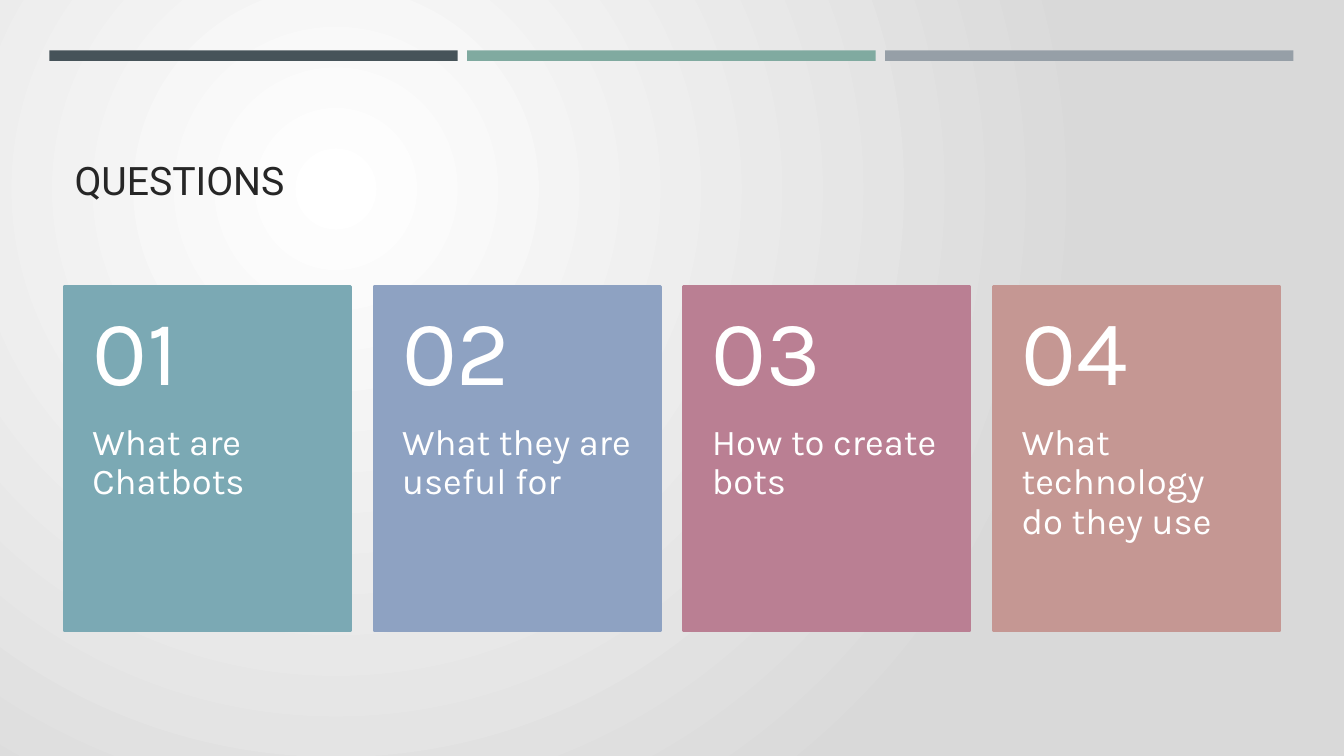
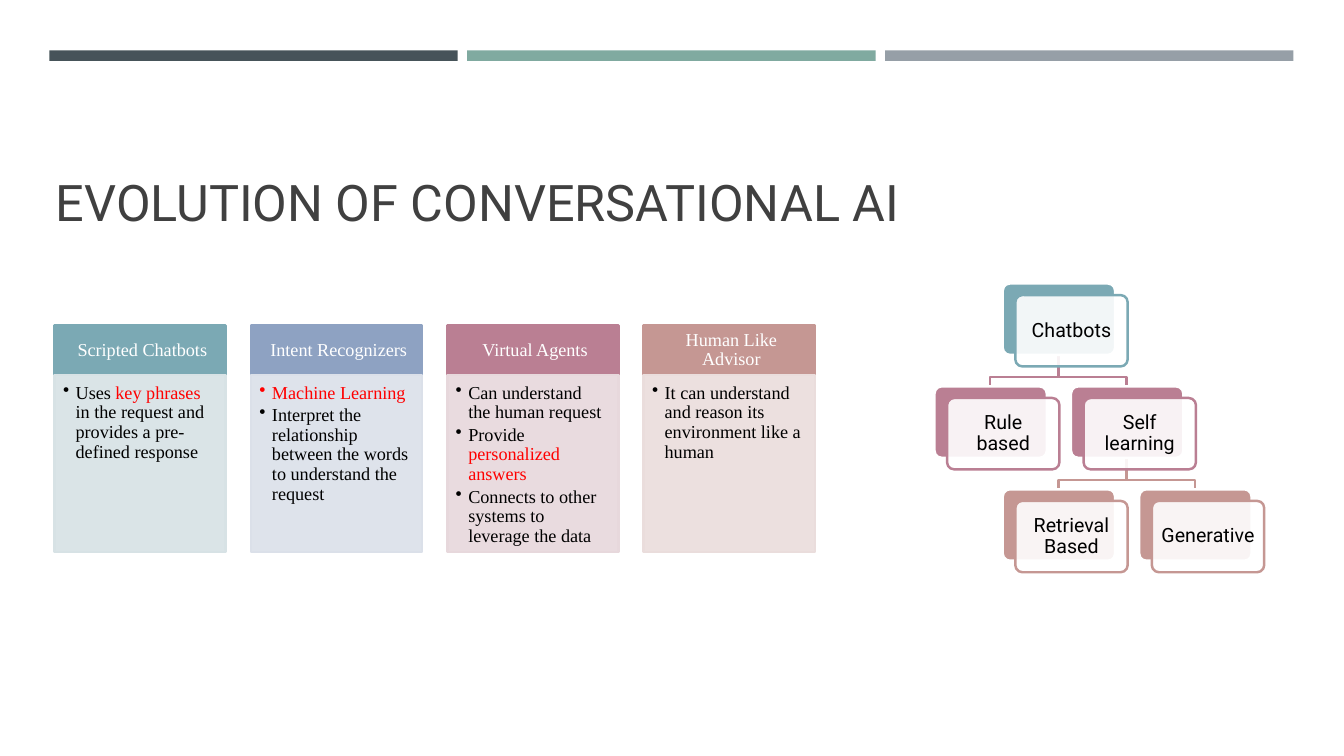
from pptx import Presentation
from pptx.dml.color import RGBColor
from pptx.enum.shapes import MSO_SHAPE as Preset
from pptx.enum.text import MSO_ANCHOR as Anchor, PP_ALIGN as Align
from pptx.oxml import parse_xml
from pptx.oxml.ns import nsdecls, qn
from pptx.util import Emu, Pt

PX = 9525  # 96 px to the inch
SLIDE_WIDTH, SLIDE_HEIGHT = 1280, 720

COLORS = {
    "slate": "465359", "sage": "80AAA0", "steel": "969FA7",
    "teal": "7BA9B4", "blue": "8EA2C2", "rose": "BA7F93", "clay": "C59793",
    "teal_tint": "D7E2E5", "blue_tint": "DBE0E9",
    "rose_tint": "E7D8DC", "clay_tint": "EADDDC",
    "white": "FFFFFF", "grey": "D9D9D9", "black": "000000", "red": "FF0000",
    "title_dark": "262626", "title_grey": "404040",
}
ACCENTS = ("teal", "blue", "rose", "clay")
LINE_WIDTH = Pt(1.75)

# Text styles
FONTS = {
    "title": {"name": "Roboto", "size": Pt(28)},
    "large_title": {"name": "Roboto", "size": Pt(36)},
    "number": {"name": "Karla", "size": Pt(66)},
    "question": {"name": "Karla", "size": Pt(26)},
    "column": {"name": "Times New Roman", "size": Pt(13)},
    "node": {"name": "Roboto", "size": Pt(14)},
}
LEFT = {"alignment": Align.LEFT}
TIGHT = {"alignment": Align.LEFT, "line_spacing": 0.9}
CENTERED = {"alignment": Align.CENTER, "line_spacing": 0.9}
BULLETED = {**TIGHT, "space_after": Pt(2)}

# Slide contents
QUESTIONS = (
    "What are Chatbots",
    "What they are useful for",
    "How to create bots",
    "What technology do they use",
)
STAGES = (
    ("Scripted Chatbots", [
        [("Uses ", "black"), ("key phrases", "red"),
         (" in the request and provides a pre-defined response", "black")],
    ]),
    ("Intent Recognizers", [
        [("Machine Learning", "red")],
        [("Interpret the relationship between the words to understand the request", "black")],
    ]),
    ("Virtual Agents", [
        [("Can understand the human request", "black")],
        [("Provide ", "black"), ("personalized answers", "red")],
        [("Connects to other systems to leverage the data", "black")],
    ]),
    ("Human Like Advisor", [
        [("It can understand and reason its environment like a human", "black")],
    ]),
)
# Name: (half-column, row, parent)
TREE = {
    "Chatbots": (1, 0, None),
    "Rule based": (0, 1, "Chatbots"),
    "Self learning": (2, 1, "Chatbots"),
    "Retrieval Based": (1, 2, "Self learning"),
    "Generative": (3, 2, "Self learning"),
}
TREE_COLORS = ("teal", "rose", "clay")


def rgb(color):
    return RGBColor.from_string(COLORS[color])


def px(*lengths):
    return [Emu(length * PX) for length in lengths]


def apply_format(target, values):
    for name, value in values.items():
        setattr(target, name, value)


def add_box(slide, box, fill, line=None, preset=Preset.RECTANGLE, opacity=100):
    shape = slide.shapes.add_shape(preset, *px(*box))
    shape.shadow.inherit = False
    shape.fill.solid()
    shape.fill.fore_color.rgb = rgb(fill)
    if line:
        shape.line.color.rgb = rgb(line)
        shape.line.width = LINE_WIDTH
    else:
        shape.line.fill.background()
    if opacity < 100:
        color = shape.fill._xPr.find(qn("a:solidFill")).find(qn("a:srgbClr"))
        color.append(parse_xml(f'<a:alpha {nsdecls("a")} val="{opacity * 1000}"/>'))
    return shape


def write(shape, paragraphs, font, layout, insets, anchor=Anchor.MIDDLE, bullets=False):
    """Fill a shape with paragraphs, each a list of (text, color) runs."""
    frame = shape.text_frame
    left, top, right, bottom = px(*insets)
    apply_format(frame, {
        "word_wrap": True, "vertical_anchor": anchor,
        "margin_left": left, "margin_top": top,
        "margin_right": right, "margin_bottom": bottom,
    })
    for index, runs in enumerate(paragraphs):
        paragraph = frame.add_paragraph() if index else frame.paragraphs[0]
        apply_format(paragraph, layout)
        if bullets:
            properties = paragraph._p.get_or_add_pPr()
            properties.set("marL", str(12 * PX))
            properties.set("indent", str(-12 * PX))
            properties.append(parse_xml(f'<a:buChar {nsdecls("a")} char="•"/>'))
        for text, color in runs:
            run = paragraph.add_run()
            run.text = text
            apply_format(run.font, FONTS[font])
            run.font.color.rgb = rgb(color)


def add_text(slide, box, text, color, font, layout, insets, anchor):
    shape = slide.shapes.add_textbox(*px(*box))
    write(shape, [[(text, color)]], font, layout, insets, anchor)


def add_frame(presentation, title, box, font, color):
    """Start a slide with the three top bars and a title."""
    slide = presentation.slides.add_slide(presentation.slide_layouts[6])
    left, top, width, height, gap = 47, 48, 389, 10, 9
    for index, fill in enumerate(("slate", "sage", "steel")):
        add_box(slide, (left + index * (width + gap), top, width, height), fill)
    add_text(slide, box, title, color, font, LEFT, (10, 5, 10, 5), Anchor.BOTTOM)
    return slide


def set_radial_background(slide):
    fill = slide.background.fill
    fill.gradient()
    for stop, color in zip(fill.gradient_stops, ("white", "grey")):
        stop.color.rgb = rgb(color)
    linear = next(slide.element.iter(qn("a:lin")))
    linear.getparent().replace(linear, parse_xml(
        f'<a:path {nsdecls("a")} path="circle">'
        '<a:fillToRect l="50000" t="50000" r="100000" b="100000"/></a:path>'))


def add_question_card(slide, box, number, question, fill):
    left, top, width, height = box
    number_height = 131
    add_box(slide, box, fill, fill)
    add_text(slide, (left, top, width, number_height), f"{number:02}",
             "white", "number", TIGHT, (27, 17, 27, 17), Anchor.MIDDLE)
    add_text(slide, (left, top + number_height, width, height - number_height), question,
             "white", "question", TIGHT, (27, 0, 27, 35), Anchor.TOP)


def add_stage_column(slide, box, heading, points, accent):
    left, top, width, height = box
    heading_height = 47
    header = add_box(slide, (left, top, width, heading_height), accent, accent)
    write(header, [[(heading, "white")]], "column", CENTERED, (14, 6, 10, 6))
    tint = f"{accent}_tint"
    body = add_box(slide, (left, top + heading_height, width, height - heading_height),
                   tint, tint, opacity=90)
    write(body, points, "column", BULLETED, (8, 8, 10, 10), Anchor.TOP, bullets=True)


def add_branch(slide, start, end, drop, color):
    (start_x, start_y), (end_x, end_y) = start, end
    builder = slide.shapes.build_freeform(start_x, start_y, scale=PX)
    elbow = start_y + drop
    builder.add_line_segments([(start_x, elbow), (end_x, elbow), end], close=False)
    branch = builder.convert_to_shape()
    branch.shadow.inherit = False
    branch.fill.background()
    branch.line.color.rgb = rgb(color)
    branch.line.width = LINE_WIDTH


def add_node(slide, box, name, color):
    left, top, width, height = box
    back = add_box(slide, box, color, "white", Preset.ROUNDED_RECTANGLE)
    front = add_box(slide, (left + 12, top + 11, width, height), "white", color,
                    Preset.ROUNDED_RECTANGLE, opacity=90)
    for card in (back, front):
        card.adjustments[0] = 0.1
    write(front, [[(name, "black")]], "node", CENTERED, (6, 6, 6, 6))


def add_tree(slide, left, top):
    width, height, half_step, row_step = 107, 68, 65, 98
    boxes = {
        name: (left + column * half_step, top + row * row_step, width, height)
        for name, (column, row, _) in TREE.items()
    }
    # Branches lie behind the nodes
    for name, (_, row, parent) in TREE.items():
        if parent:
            (parent_x, parent_y), (child_x, child_y) = boxes[parent][:2], boxes[name][:2]
            add_branch(slide, (parent_x + width // 2, parent_y + height),
                       (child_x + width // 2, child_y), 21, TREE_COLORS[row])
    for name, (_, row, _) in TREE.items():
        add_node(slide, boxes[name], name, TREE_COLORS[row])


def build_questions(presentation):
    slide = add_frame(presentation, "QUESTIONS", (61, 74, 1158, 125), "title", "title_dark")
    set_radial_background(slide)
    left, top, width, height, gap = 61, 273, 273, 328, 22
    for index, (question, accent) in enumerate(zip(QUESTIONS, ACCENTS)):
        box = (left + index * (width + gap), top, width, height)
        add_question_card(slide, box, index + 1, question, accent)


def build_evolution(presentation):
    slide = add_frame(presentation, "EVOLUTION OF CONVERSATIONAL AI",
                      (43, 76, 1154, 150), "large_title", "title_grey")
    slide.background.fill.solid()
    slide.background.fill.fore_color.rgb = rgb("white")
    left, top, width, height, gap = 52, 310, 163, 216, 24
    for index, ((heading, points), accent) in enumerate(zip(STAGES, ACCENTS)):
        box = (left + index * (width + gap), top, width, height)
        add_stage_column(slide, box, heading, points, accent)
    add_tree(slide, 890, 270)


def main():
    presentation = Presentation()
    presentation.slide_width, presentation.slide_height = px(SLIDE_WIDTH, SLIDE_HEIGHT)
    build_questions(presentation)
    build_evolution(presentation)
    presentation.save("out.pptx")


if __name__ == "__main__":
    main()
